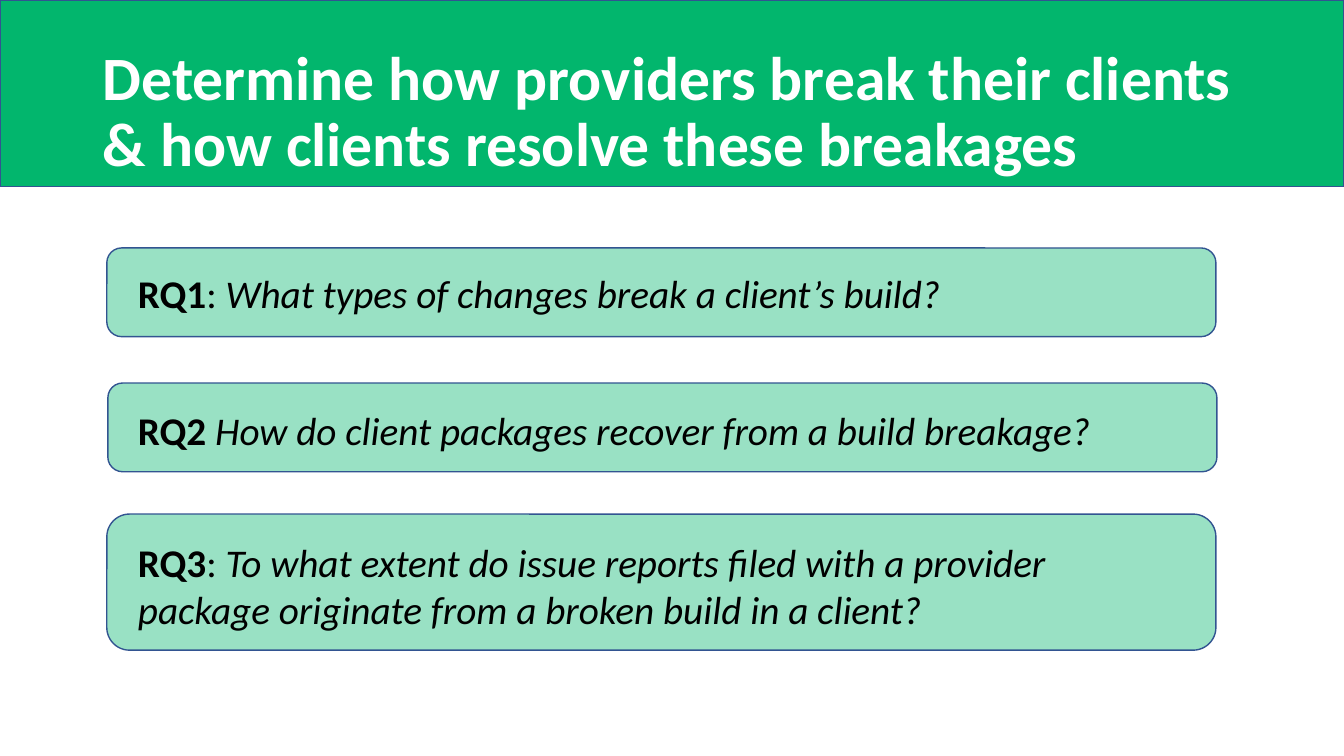
from lxml.etree import SubElement as Sub
from pptx import Presentation
from pptx.dml.color import RGBColor
from pptx.enum.shapes import MSO_SHAPE as Kind
from pptx.enum.text import MSO_ANCHOR as Anchor, MSO_AUTO_SIZE as Fit, PP_ALIGN as Align
from pptx.oxml.ns import qn
from pptx.util import Pt

PX = 9144
GREEN, NAVY, WHITE, BLACK = "02B66D", "325491", "FFFFFF", "000000"
BOLD = {"bold": True, "italic": False}
PLAIN = {"bold": False, "italic": False}
SLANT = {"bold": False, "italic": True}
ASKS = [
    ((106, 246, 1100, 88), (127, 262, 1078, 88),
     [("RQ1", BOLD), (": ", PLAIN),
      ("What types of changes break a client’s build?", SLANT)]),
    ((107, 380, 1100, 88), (127, 398, 1052, 88),
     [("RQ2 ", BOLD),
      ("How do client packages recover from a build breakage?", SLANT)]),
    ((106, 510, 1100, 135), (127, 529, 1052, 135),
     [("RQ3", BOLD), (": ", PLAIN),
      ("To what extent do issue reports filed with a provider package "
       "originate from a broken build in a client?", SLANT)]),
]


def scale(box):
    return [n * PX for n in box]


def tint(color, code):
    color.rgb = RGBColor.from_string(code)


def style(item, form):
    for key, value in form.items():
        setattr(item, key, value)


def write(para, text, size, code, form):
    run = para.add_run()
    run.text = text
    style(run.font, {"name": "Calibri", "size": Pt(size), **form})
    tint(run.font.color, code)


def panel(slide, kind, box, alpha=100):
    shape = slide.shapes.add_shape(kind, *scale(box))
    shape.shadow.inherit = False
    shape.fill.solid()
    tint(shape.fill.fore_color, GREEN)
    if alpha < 100:
        fill = shape._element.spPr.find(qn("a:solidFill"))
        Sub(fill[0], qn("a:alpha"), val=str(alpha * 1000))
    tint(shape.line.color, NAVY)
    shape.line.width = Pt(1)
    return shape


def title(slide, box, text):
    head = slide.shapes.title
    style(head, dict(zip(("left", "top", "width", "height"), scale(box))))
    style(head.text_frame, {"word_wrap": True, "auto_size": Fit.NONE,
                            "vertical_anchor": Anchor.MIDDLE})
    para = head.text_frame.paragraphs[0]
    style(para, {"alignment": Align.LEFT, "line_spacing": 0.9})
    write(para, text, 44, WHITE, BOLD)


def ask(slide, card, box, parts):
    panel(slide, Kind.ROUNDED_RECTANGLE, card, 40)
    frame = slide.shapes.add_textbox(*scale(box)).text_frame
    frame.word_wrap = True
    for text, form in parts:
        write(frame.paragraphs[0], text, 28, BLACK, form)


def main():
    deck = Presentation()
    style(deck, {"slide_width": 1333 * PX, "slide_height": 750 * PX})
    slide = deck.slides.add_slide(deck.slide_layouts[5])
    band = panel(slide, Kind.RECTANGLE, (0, 0, 1333, 185))
    slide.shapes.title._element.addprevious(band._element)
    title(slide, (92, 40, 1150, 145),
          "Determine how providers break their clients "
          "& how clients resolve these breakages")
    for card, box, parts in ASKS:
        ask(slide, card, box, parts)
    deck.save("out.pptx")


if __name__ == "__main__":
    main()
